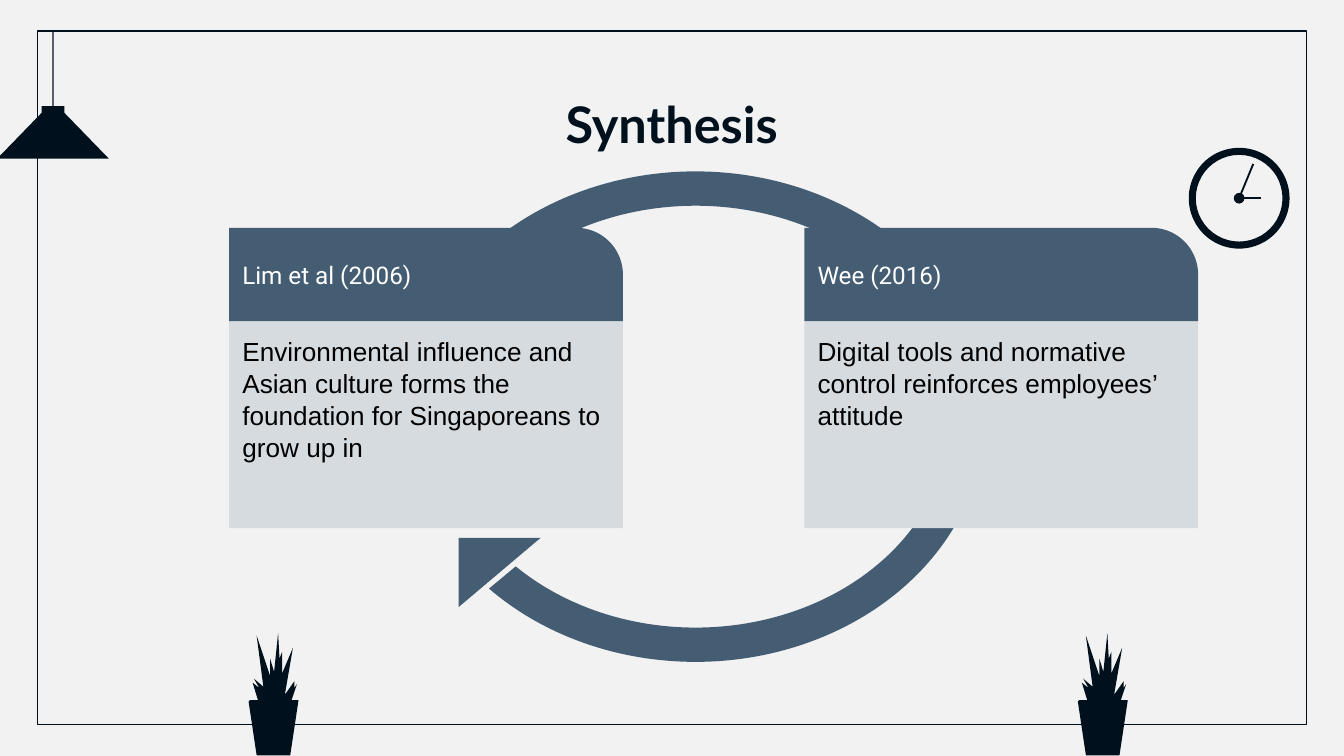
"""Build the Synthesis slide: two linked cards inside a decorated frame."""
import pptx
import pptx.dml.color
import pptx.enum.shapes
import pptx.enum.text
import pptx.oxml
import pptx.util

RGB = pptx.dml.color.RGBColor
KIND = pptx.enum.shapes.MSO_SHAPE
ALIGN = pptx.enum.text.PP_ALIGN
ANCHOR = pptx.enum.text.MSO_ANCHOR
PX = 4572

INK = RGB(0x00, 0x11, 0x1D)
SLATE = RGB(0x44, 0x5D, 0x73)
PALE = RGB(0xD6, 0xDB, 0xE0)
PAPER = RGB(0xF2, 0xF2, 0xF2)
WHITE = RGB(0xFF, 0xFF, 0xFF)
BLACK = RGB(0x00, 0x00, 0x00)

deck = pptx.Presentation()
deck.slide_width, deck.slide_height = 2000 * PX, 1125 * PX
slide = deck.slides.add_slide(deck.slide_layouts[6])
slide.background.fill.solid()
slide.background.fill.fore_color.rgb = PAPER
shapes = slide.shapes


def paint(shape, color):
    shape.shadow.inherit = False
    shape.fill.solid()
    shape.fill.fore_color.rgb = color
    shape.line.fill.background()
    return shape


def write(shape, text, font, size, color, anchor=ANCHOR.TOP, align=ALIGN.LEFT):
    frame = shape.text_frame
    frame.word_wrap = True
    frame.margin_left = frame.margin_right = 20 * PX
    frame.margin_top = frame.margin_bottom = 20 * PX
    frame.vertical_anchor = anchor
    frame.text = text
    para = frame.paragraphs[0]
    para.alignment = align
    style = para.runs[0].font
    style.name, style.size = font, pptx.util.Pt(size)
    style.color.rgb = color
    return para


border = shapes.add_shape(KIND.RECTANGLE, 56 * PX, 46 * PX, 1888 * PX, 1032 * PX)
border.shadow.inherit = False
border.fill.background()
border.line.color.rgb = INK
border.line.width = pptx.util.Pt(0.75)

lamp = [(39, 23), (39, 79), (31, 79), (31, 84), (-2, 118), (81, 118),
        (48, 84), (48, 79), (40, 79), (40, 23)]
plant = [(207, 471), (204, 500), (201, 490), (201, 503), (191, 473),
         (196, 511), (189, 505), (193, 512), (188, 508), (192, 521),
         (186, 521), (185, 522), (191, 562), (216, 562), (222, 522),
         (222, 521), (217, 521), (221, 509), (219, 512), (219, 507),
         (212, 517), (218, 482), (210, 501), (210, 485), (208, 490)]
for points, shift in ((lamp, 0), (plant, 0), (plant, 617)):
    spots = [(x + shift, y) for x, y in points]
    pen = shapes.build_freeform(*spots[0], scale=2 * PX)
    pen.add_line_segments(spots[1:], close=True)
    paint(pen.convert_to_shape(), INK)

clock = paint(shapes.add_shape(KIND.DONUT, 1769 * PX, 220 * PX, 150 * PX, 150 * PX), INK)
clock.adjustments[0] = 0.07
paint(shapes.add_shape(KIND.OVAL, 1836 * PX, 287 * PX, 16 * PX, 16 * PX), INK)
for x, y in ((1865, 244), (1877, 295)):
    hand = shapes.add_connector(
        pptx.enum.shapes.MSO_CONNECTOR.STRAIGHT, 1844 * PX, 295 * PX, x * PX, y * PX)
    hand.line.color.rgb = INK
    hand.line.width = pptx.util.Pt(1)
    props = hand.element.spPr
    props.append(pptx.oxml.parse_xml(
        '<a:effectLst xmlns:a="http://schemas.openxmlformats.org/drawingml/2006/main"/>'))

title = shapes.add_textbox(157 * PX, 118 * PX, 1685 * PX, 126 * PX)
head = write(title, "Synthesis", "Lato", 27, INK, align=ALIGN.CENTER)
head.runs[0].font.bold = True

arc = paint(shapes.add_shape(KIND.BLOCK_ARC, 670 * PX, 189 * PX, 730 * PX, 862 * PX), SLATE)
arc.rotation = 90
for i, value in enumerate((54, 30.13, 0.07)):
    arc.adjustments[i] = value
tip = paint(shapes.add_shape(KIND.RIGHT_TRIANGLE, 692 * PX, 791 * PX, 103 * PX, 122 * PX), SLATE)
tip.rotation = 90

cards = [
    (341, "Lim et al (2006)", "Environmental influence and Asian culture forms "
     "the foundation for Singaporeans to grow up in"),
    (1197, "Wee (2016)", "Digital tools and normative control reinforces "
     "employees’ attitude"),
]
for left, source, claim in cards:
    body = shapes.add_shape(KIND.RECTANGLE, left * PX, 478 * PX, 586 * PX, 308 * PX)
    para = write(paint(body, PALE), claim, "Arial", 14, BLACK)
    para.line_spacing = 1.02
    top = shapes.add_shape(KIND.ROUND_1_RECTANGLE, left * PX, 339 * PX, 586 * PX, 139 * PX)
    top.adjustments[0] = 0.5
    write(paint(top, SLATE), source, "Roboto", 13, WHITE, ANCHOR.MIDDLE)

deck.save("out.pptx")
